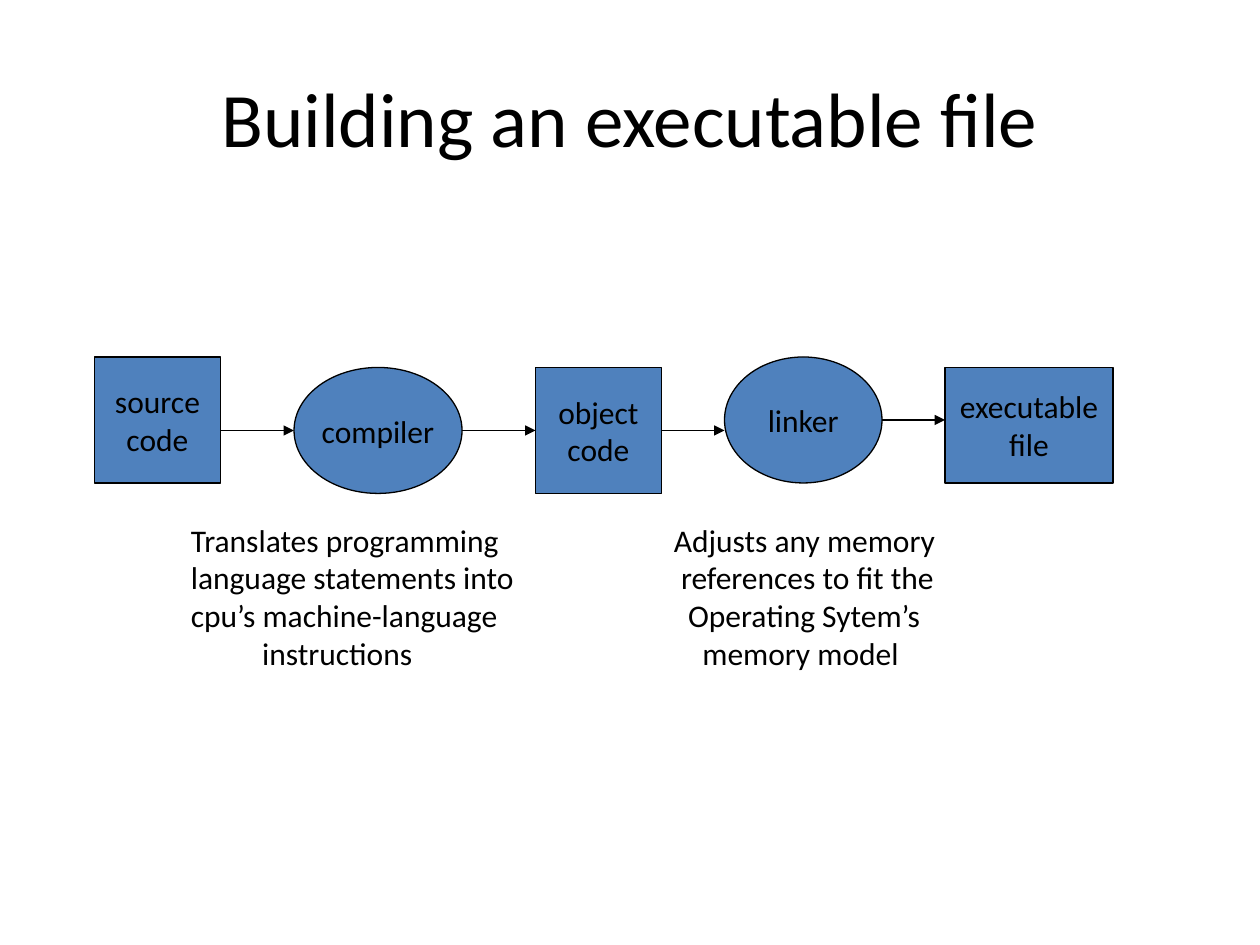
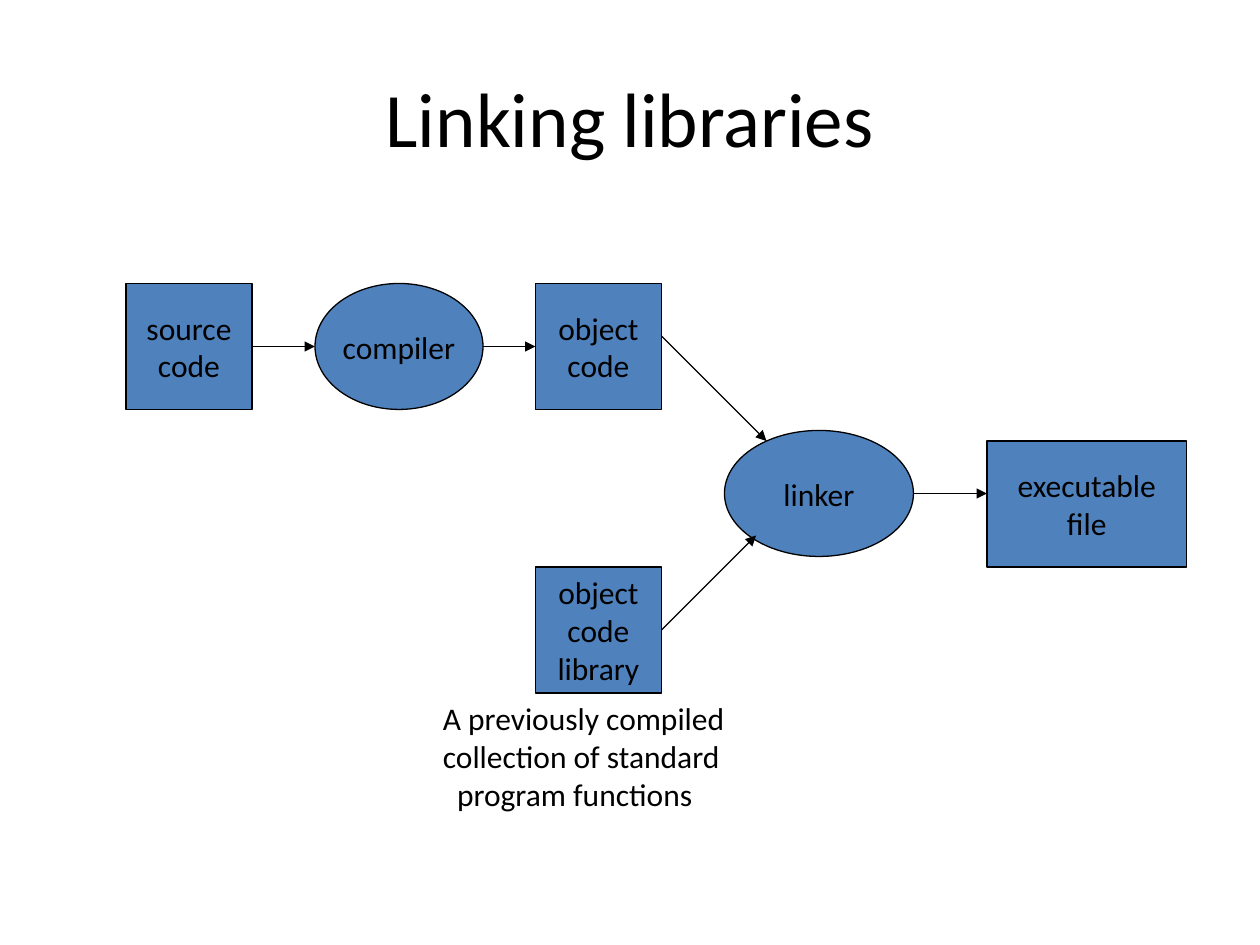
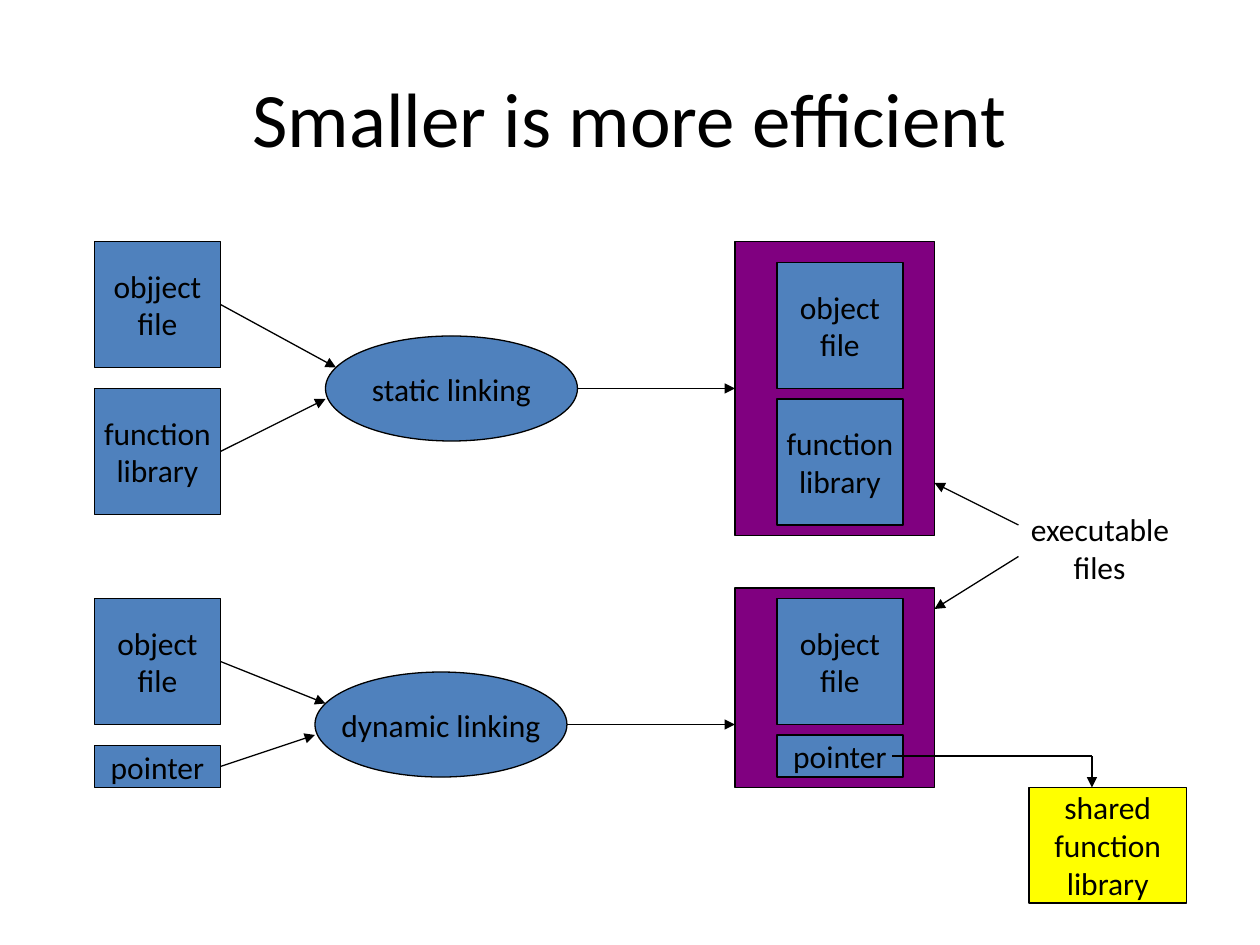
"""Builds three slides on compiling and linking executable files."""

from dataclasses import dataclass
from typing import NamedTuple

from pptx import Presentation
from pptx.dml.color import RGBColor
from pptx.enum.shapes import MSO_CONNECTOR, MSO_SHAPE
from pptx.enum.text import MSO_ANCHOR, MSO_AUTO_SIZE, PP_ALIGN
from pptx.oxml.ns import qn
from pptx.oxml.xmlchemy import OxmlElement
from pptx.presentation import Presentation as Deck
from pptx.shapes.autoshape import Shape
from pptx.slide import Slide
from pptx.text.text import TextFrame
from pptx.util import Emu, Inches, Pt

RECTANGLE = MSO_SHAPE.RECTANGLE
ELLIPSE = MSO_SHAPE.OVAL
STRAIGHT = MSO_CONNECTOR.STRAIGHT
MIDDLE = MSO_ANCHOR.MIDDLE
TOP = MSO_ANCHOR.TOP
FIT_SHAPE = MSO_AUTO_SIZE.SHAPE_TO_FIT_TEXT
CENTER = PP_ALIGN.CENTER
LEFT = PP_ALIGN.LEFT

SLIDE_WIDTH = Inches(10)
SLIDE_HEIGHT = Inches(7.5)
COLUMNS = 120
ROWS = 90
BLANK_LAYOUT = 6


@dataclass(frozen=True)
class Theme:
    """Colours, type sizes and line widths shared by all slides."""

    font: str = "Calibri"
    ink: RGBColor = RGBColor(0x00, 0x00, 0x00)
    node: RGBColor = RGBColor(0x4F, 0x81, 0xBD)
    container: RGBColor = RGBColor(0x80, 0x00, 0x80)
    shared: RGBColor = RGBColor(0xFF, 0xFF, 0x00)
    title_size: Pt = Pt(44)
    body_size: Pt = Pt(18)
    line_width: Pt = Pt(0.75)
    indent_step: Pt = Pt(4.07)


THEME = Theme()


class Box(NamedTuple):
    """An area in grid columns and rows."""

    column: float
    row: float
    width: float = 12
    height: float = 12

    def side_middles(self) -> list[tuple[float, float]]:
        """Return the middles of the top, left, bottom and right sides."""
        middle_column = self.column + self.width / 2
        middle_row = self.row + self.height / 2
        return [
            (middle_column, self.row),
            (self.column, middle_row),
            (middle_column, self.row + self.height),
            (self.column + self.width, middle_row),
        ]


class Node(NamedTuple):
    """A filled shape, with one paragraph per line of its label."""

    label: str
    box: Box
    outline: MSO_SHAPE = RECTANGLE
    fill: RGBColor = THEME.node


class Arrow(NamedTuple):
    """A straight line between two grid points."""

    start: tuple[float, float]
    end: tuple[float, float]
    has_head: bool = True


class Caption(NamedTuple):
    """Free text whose lines are indented by a number of steps."""

    box: Box
    lines: tuple[str, ...]
    indents: tuple[int, ...]


class Diagram(NamedTuple):
    """Everything one slide shows."""

    title: str
    nodes: list[Node]
    arrows: list[Arrow]
    captions: list[Caption]


TITLE_BOX = Box(6, 3.6, 108, 15)

DIAGRAMS = [
    Diagram(
        "Building an executable file",
        [
            Node("source\ncode", Box(9, 34)),
            Node("compiler", Box(28, 35, 16), ELLIPSE),
            Node("object\ncode", Box(51, 35)),
            Node("linker", Box(69, 34, 15), ELLIPSE),
            Node("executable\nfile", Box(90, 35, 16, 11)),
        ],
        [
            Arrow((21, 41), (28, 41)),
            Arrow((44, 41), (51, 41)),
            Arrow((63, 41), (69, 41)),
            Arrow((84, 40), (90, 40)),
        ],
        [
            Caption(
                Box(17, 49, 35.9, 15.6),
                ("Translates programming", "language statements into",
                 "cpu’s machine-language", "instructions"),
                (0, 0, 0, 10),
            ),
            Caption(
                Box(63, 49, 29.6, 15.6),
                ("Adjusts any memory", "references to fit the",
                 "Operating Sytem’s", "memory model"),
                (0, 1, 2, 4),
            ),
        ],
    ),
    Diagram(
        "Linking libraries",
        [
            Node("source\ncode", Box(12, 27)),
            Node("object\ncode", Box(51, 27)),
            Node("object\ncode\nlibrary", Box(51, 54)),
            Node("executable\nfile", Box(94, 42, 19)),
            Node("compiler", Box(30, 27, 16), ELLIPSE),
            Node("linker", Box(69, 41, 18), ELLIPSE),
        ],
        [
            Arrow((24, 33), (30, 33)),
            Arrow((46, 33), (51, 33)),
            Arrow((63, 32), (73, 42)),
            Arrow((63, 60), (72, 51)),
            Arrow((87, 47), (94, 47)),
        ],
        [
            Caption(
                Box(41, 66, 31.6, 12),
                ("A previously compiled", "collection of standard", "program functions"),
                (0, 0, 2),
            ),
        ],
    ),
    Diagram(
        "Smaller is more efficient",
        [
            Node("objject\nfile", Box(9, 23)),
            Node("function\nlibrary", Box(9, 37)),
            Node("object\nfile", Box(9, 57)),
            Node("pointer", Box(9, 71, 12, 4)),
            Node("static linking", Box(31, 32, 24, 10), ELLIPSE),
            Node("", Box(70, 23, 19, 28), fill=THEME.container),
            Node("object\nfile", Box(74, 25)),
            Node("function\nlibrary", Box(74, 38)),
            Node("dynamic linking", Box(30, 64, 24, 10), ELLIPSE),
            Node("", Box(70, 56, 19, 19), fill=THEME.container),
            Node("object\nfile", Box(74, 57)),
            Node("pointer", Box(74, 70, 12, 4)),
            Node("shared\nfunction\nlibrary", Box(98, 75, 15, 11), fill=THEME.shared),
        ],
        [
            Arrow((21, 29), (32, 35)),
            Arrow((21, 43), (31, 38)),
            Arrow((55, 37), (70, 37)),
            Arrow((21, 63), (31, 67)),
            Arrow((21, 73), (30, 70)),
            Arrow((104, 72), (104, 75)),
            Arrow((104, 72), (85, 72), has_head=False),
            Arrow((54, 69), (70, 69)),
            Arrow((97, 50), (89, 46)),
            Arrow((97, 53), (89, 58)),
        ],
        [Caption(Box(97, 48, 16.9, 8.4), ("executable", "files"), (0, 6))],
    ),
]


def across(columns: float) -> Emu:
    """Convert grid columns to a length."""
    return Emu(round(SLIDE_WIDTH * columns / COLUMNS))


def down(rows: float) -> Emu:
    """Convert grid rows to a length."""
    return Emu(round(SLIDE_HEIGHT * rows / ROWS))


def place(box: Box) -> tuple[Emu, Emu, Emu, Emu]:
    """Return the left, top, width and height of a box."""
    return across(box.column), down(box.row), across(box.width), down(box.height)


def write(frame: TextFrame, text: str, size: Pt, alignment: PP_ALIGN,
          anchor: MSO_ANCHOR, wrap: bool = False) -> None:
    """Fill a text frame with evenly styled paragraphs."""
    frame.text = text
    frame.word_wrap = wrap
    frame.vertical_anchor = anchor
    for paragraph in frame.paragraphs:
        paragraph.alignment = alignment
        paragraph.font.name = THEME.font
        paragraph.font.size = size
        paragraph.font.color.rgb = THEME.ink


def draw_title(slide: Slide, title: str) -> None:
    """Draw the slide title."""
    frame = slide.shapes.add_textbox(*place(TITLE_BOX)).text_frame
    write(frame, title, THEME.title_size, CENTER, MIDDLE, wrap=True)


def draw_node(slide: Slide, node: Node) -> Shape:
    """Draw a filled, outlined shape with its label."""
    shape = slide.shapes.add_shape(node.outline, *place(node.box))
    shape.shadow.inherit = False
    shape.fill.solid()
    shape.fill.fore_color.rgb = node.fill
    shape.line.color.rgb = THEME.ink
    shape.line.width = THEME.line_width
    if node.label:
        write(shape.text_frame, node.label, THEME.body_size, CENTER, MIDDLE)
    return shape


def draw_arrow(slide: Slide, arrow: Arrow, drawn: list[tuple[Node, Shape]]) -> None:
    """Draw a line and join it to rectangles whose side middles it meets."""
    (start_column, start_row), (end_column, end_row) = arrow.start, arrow.end
    connector = slide.shapes.add_connector(
        STRAIGHT, across(start_column), down(start_row), across(end_column), down(end_row)
    )
    connector.line.color.rgb = THEME.ink
    connector.line.width = THEME.line_width
    properties = connector._element.spPr
    if arrow.has_head:
        head = OxmlElement("a:tailEnd")
        head.set("type", "triangle")
        properties.find(qn("a:ln")).append(head)
    properties.append(OxmlElement("a:effectLst"))
    for node, shape in drawn:
        if node.outline != RECTANGLE:
            continue
        for side, middle in enumerate(node.box.side_middles()):
            if middle == arrow.start:
                connector.begin_connect(shape, side)
            if middle == arrow.end:
                connector.end_connect(shape, side)


def draw_caption(slide: Slide, caption: Caption) -> None:
    """Draw free text with its line indents."""
    frame = slide.shapes.add_textbox(*place(caption.box)).text_frame
    write(frame, "\n".join(caption.lines), THEME.body_size, LEFT, TOP)
    frame.auto_size = FIT_SHAPE
    for paragraph, steps in zip(frame.paragraphs, caption.indents):
        if steps:
            paragraph._p.get_or_add_pPr().set("marL", str(steps * THEME.indent_step))


def draw_diagram(presentation: Deck, diagram: Diagram) -> None:
    """Add one slide with its title, nodes, arrows and captions."""
    slide = presentation.slides.add_slide(presentation.slide_layouts[BLANK_LAYOUT])
    draw_title(slide, diagram.title)
    drawn = [(node, draw_node(slide, node)) for node in diagram.nodes]
    for arrow in diagram.arrows:
        draw_arrow(slide, arrow, drawn)
    for caption in diagram.captions:
        draw_caption(slide, caption)


def main() -> None:
    """Build and save the presentation."""
    presentation = Presentation()
    presentation.slide_width = SLIDE_WIDTH
    presentation.slide_height = SLIDE_HEIGHT
    for diagram in DIAGRAMS:
        draw_diagram(presentation, diagram)
    presentation.save("out.pptx")


if __name__ == "__main__":
    main()
